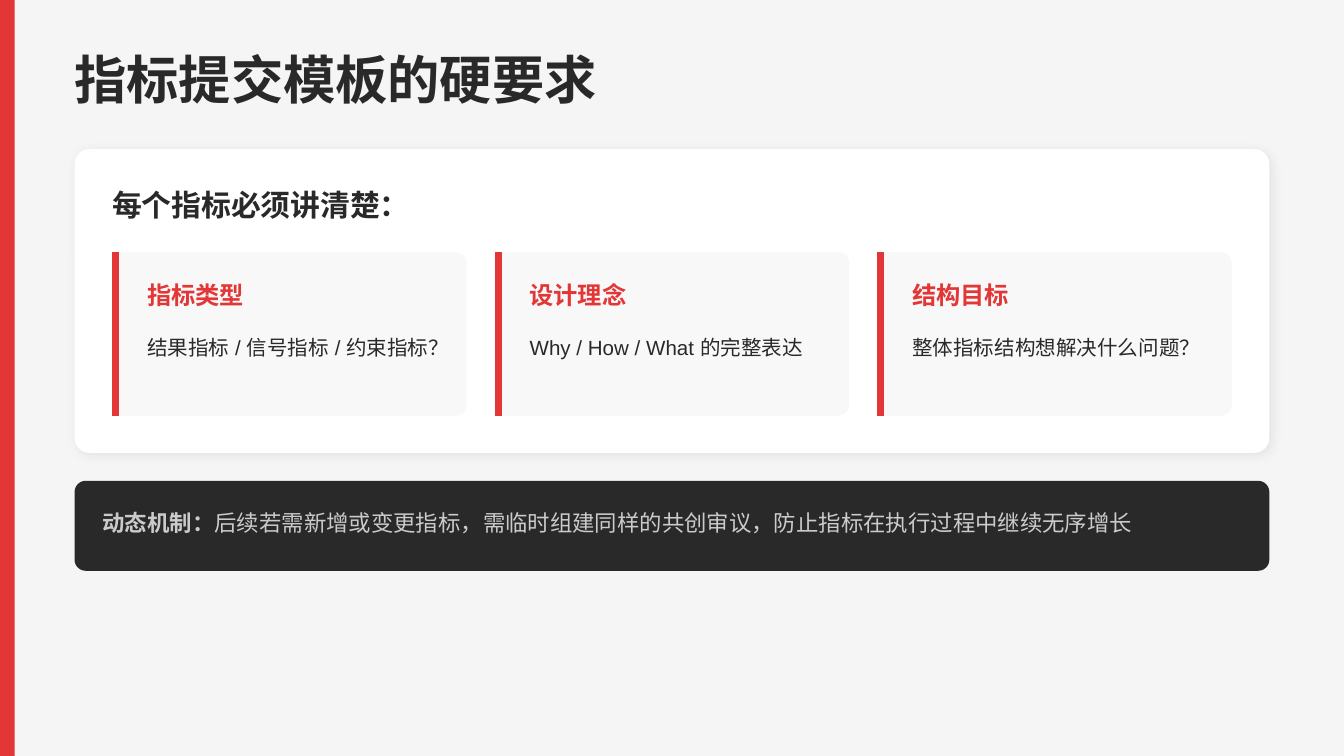
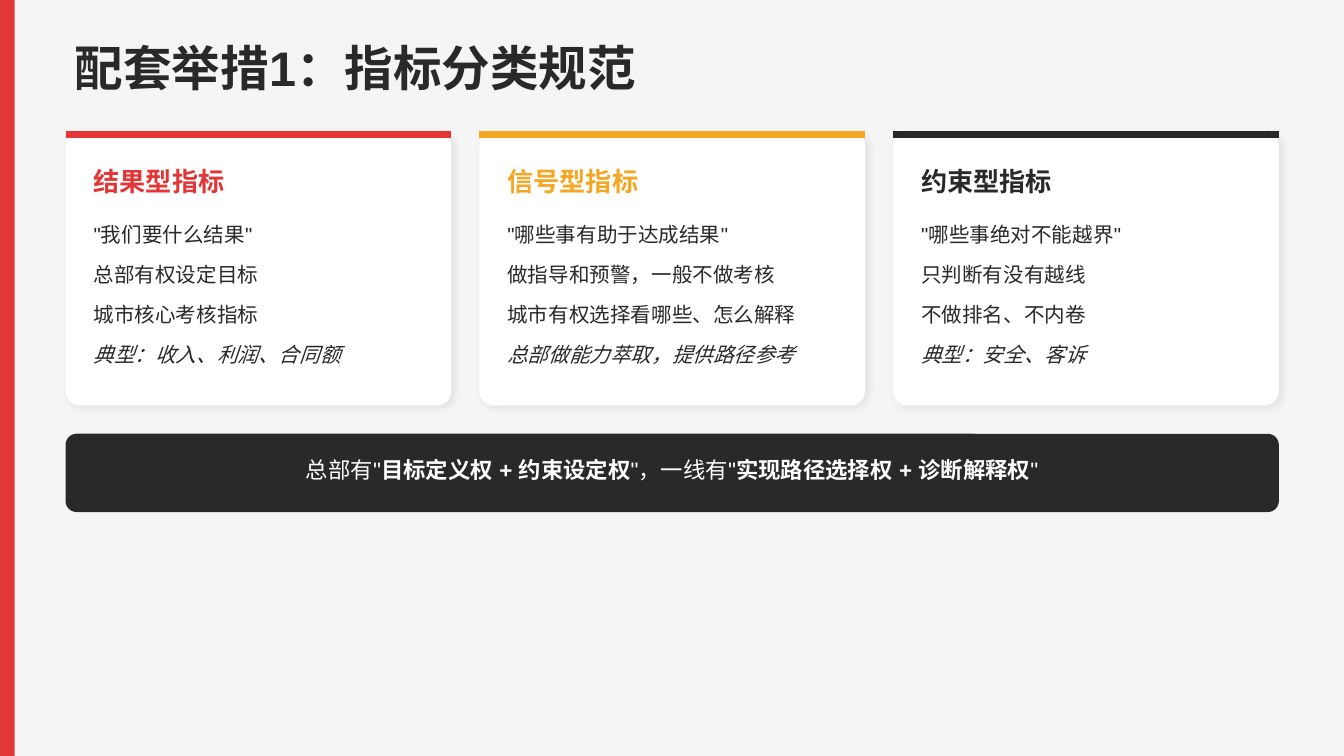
from typing import NamedTuple

from lxml.etree import SubElement
from pptx import Presentation
from pptx.dml.color import RGBColor
from pptx.enum.shapes import MSO_CONNECTOR as Connector, MSO_SHAPE as Preset
from pptx.enum.text import MSO_ANCHOR as Anchor, MSO_AUTO_SIZE as AutoSize, PP_ALIGN as Align
from pptx.oxml.ns import qn
from pptx.util import Cm, Pt

RED = RGBColor(0xE3, 0x37, 0x37)
AMBER = RGBColor(0xF5, 0xA6, 0x23)
INK = RGBColor(0x29, 0x29, 0x29)
WHITE = RGBColor(0xFF, 0xFF, 0xFF)
SILVER = RGBColor(0xCC, 0xCB, 0xCB)
CARD = RGBColor(0xF8, 0xF8, 0xF8)
BACKDROP = RGBColor(0xF5, 0xF5, 0xF5)

FONT = "Arial"
SLIDE_WIDTH, SLIDE_HEIGHT = 25.4, 14.29
GAP = 0.53
ACCENT_INSET = 0.07
LARGE_RADIUS, SMALL_RADIUS = 0.28, 0.21
TITLE_ONLY, COMPARISON = 5, 4

REQUIREMENTS = [
    ("指标类型", "结果指标 / 信号指标 / 约束指标？"),
    ("设计理念", "Why / How / What 的完整表达"),
    ("结构目标", "整体指标结构想解决什么问题？"),
]
CATEGORIES = [
    ("结果型指标", RED,
     ["\"我们要什么结果\"", "总部有权设定目标", "城市核心考核指标", "典型：收入、利润、合同额"]),
    ("信号型指标", AMBER,
     ["\"哪些事有助于达成结果\"", "做指导和预警，一般不做考核",
      "城市有权选择看哪些、怎么解释", "总部做能力萃取，提供路径参考"]),
    ("约束型指标", INK,
     ["\"哪些事绝对不能越界\"", "只判断有没有越线", "不做排名、不内卷", "典型：安全、客诉"]),
]


class Box(NamedTuple):
    left: float
    top: float
    width: float
    height: float

    def inner(self, x, y, width, height):
        return Box(self.left + x, self.top + y, width, height)

    def columns(self, count):
        width = (self.width - GAP * (count - 1)) / count
        return [self.inner(i * (width + GAP), 0, width, self.height) for i in range(count)]

    def lengths(self):
        return [Cm(value) for value in self]


def add_run(paragraph, text, size, color, bold=False, italic=False):
    run = paragraph.add_run()
    run.text = text
    font = run.font
    font.name, font.size, font.bold, font.italic = FONT, Pt(size), bold, italic
    font.color.rgb = color
    font._element.find(qn("a:latin")).addnext(
        font._element.makeelement(qn("a:ea"), {"typeface": FONT}))


def prepare_frame(shape):
    frame = shape.text_frame
    frame.auto_size = AutoSize.NONE
    frame.word_wrap = True
    frame.vertical_anchor = Anchor.TOP
    frame.margin_left = frame.margin_right = frame.margin_top = frame.margin_bottom = 0
    return frame


def place(shape, box):
    shape.left, shape.top, shape.width, shape.height = box.lengths()


def add_text(slide, box, runs, size, color, align=Align.LEFT, spacing=None):
    paragraph = prepare_frame(slide.shapes.add_textbox(*box.lengths())).paragraphs[0]
    paragraph.alignment = align
    paragraph.line_spacing = spacing
    for text, bold in runs:
        add_run(paragraph, text, size, color, bold)


def add_panel(slide, box, color, radius=0, shadow_blur=None):
    preset = Preset.ROUNDED_RECTANGLE if radius else Preset.RECTANGLE
    shape = slide.shapes.add_shape(preset, *box.lengths())
    shape.shadow.inherit = False
    shape.fill.solid()
    shape.fill.fore_color.rgb = color
    shape.line.fill.background()
    if radius:
        shape.adjustments[0] = radius / min(box.width, box.height)
    if shadow_blur:
        effects = shape._element.spPr.find(qn("a:effectLst"))
        shadow = SubElement(effects, qn("a:outerShdw"), blurRad=str(Pt(shadow_blur)),
                            dist=str(Pt(2.1)), dir="2700000", algn="bl", rotWithShape="0")
        tint = SubElement(shadow, qn("a:srgbClr"), val="000000")
        SubElement(tint, qn("a:alpha"), val="8000")


def add_accent(slide, left, top, right, bottom, color):
    line = slide.shapes.add_connector(
        Connector.STRAIGHT, Cm(left), Cm(top), Cm(right), Cm(bottom))
    line.line.color.rgb = color
    line.line.width = Pt(3.75)
    SubElement(line._element.spPr, qn("a:effectLst"))


def start_slide(presentation, layout, title, size, box):
    slide = presentation.slides.add_slide(presentation.slide_layouts[layout])
    slide.background.fill.solid()
    slide.background.fill.fore_color.rgb = BACKDROP
    add_panel(slide, Box(0, 0, 0.28, SLIDE_HEIGHT), RED)
    place(slide.shapes.title, box)
    paragraph = prepare_frame(slide.shapes.title).paragraphs[0]
    paragraph.alignment = Align.LEFT
    add_run(paragraph, title, size, INK, bold=True)
    return slide


def add_requirement(slide, box, heading, detail):
    add_panel(slide, box, CARD, SMALL_RADIUS)
    edge = box.left + ACCENT_INSET
    add_accent(slide, edge, box.top, edge, box.top + box.height, RED)
    width = box.width - 1.1
    add_text(slide, box.inner(0.66, 0.53, width, 0.66), [(heading, True)], 13, RED)
    add_text(slide, box.inner(0.66, 1.48, width, 1.09), [(detail, False)], 11, INK,
             spacing=Pt(15.4))


def add_requirements(slide, box):
    add_panel(slide, box, WHITE, LARGE_RADIUS, shadow_blur=6)
    width = box.width - 1.42
    add_text(slide, box.inner(0.71, 0.71, width, 0.81), [("每个指标必须讲清楚：", True)], 16, INK)
    cards = box.inner(0.71, 1.95, width, 3.09).columns(len(REQUIREMENTS))
    for card, (heading, detail) in zip(cards, REQUIREMENTS):
        add_requirement(slide, card, heading, detail)


def fill_list(slide, placeholder, box, items):
    slide.shapes._spTree.append(placeholder._element)
    place(placeholder, box)
    frame = prepare_frame(placeholder)
    for index, item in enumerate(items):
        paragraph = frame.add_paragraph() if index else frame.paragraphs[0]
        paragraph.alignment = Align.LEFT
        paragraph.line_spacing = Pt(15.4)
        paragraph.space_before, paragraph.space_after = Pt(0), Pt(6)
        properties = paragraph._p.get_or_add_pPr()
        properties.set("marL", "0")
        properties.set("indent", "0")
        SubElement(properties, qn("a:buNone"))
        add_run(paragraph, item, 11, INK, italic=index == len(items) - 1)


def add_category(slide, box, placeholder, heading, color, items):
    add_panel(slide, box, WHITE, LARGE_RADIUS, shadow_blur=4.5)
    edge = box.top + ACCENT_INSET
    add_accent(slide, box.left, edge, box.left + box.width, edge, color)
    width = box.width - 0.95
    add_text(slide, box.inner(0.53, 0.66, width, 0.71), [(heading, True)], 14, color)
    fill_list(slide, placeholder, box.inner(0.53, 1.65, width, 2.9), items)


def add_band(slide, box, runs, color, padding, align=Align.LEFT):
    add_panel(slide, box, INK, SMALL_RADIUS)
    text_box = box.inner(GAP, padding, box.width - 2 * GAP, 0.64)
    add_text(slide, text_box, runs, 12, color, align)


def build_requirements_slide(presentation):
    slide = start_slide(presentation, TITLE_ONLY, "指标提交模板的硬要求", 28,
                        Box(1.41, 0.89, 23.04, 1.42))
    add_requirements(slide, Box(1.41, 2.82, 22.58, 5.74))
    add_band(slide, Box(1.41, 9.09, 22.58, 1.7),
             [("动态机制：", True),
              ("后续若需新增或变更指标，需临时组建同样的共创审议，防止指标在执行过程中继续无序增长", False)],
             SILVER, 0.53)


def build_categories_slide(presentation):
    slide = start_slide(presentation, COMPARISON, "配套举措1：指标分类规范", 26,
                        Box(1.41, 0.71, 23.04, 1.32))
    *lists, spare = list(slide.placeholders)[1:]
    spare._element.getparent().remove(spare._element)
    cards = Box(1.24, 2.47, 22.93, 5.2).columns(len(CATEGORIES))
    for card, placeholder, category in zip(cards, lists, CATEGORIES):
        add_category(slide, card, placeholder, *category)
    add_band(slide, Box(1.24, 8.2, 22.93, 1.48),
             [("总部有\"", False), ("目标定义权 + 约束设定权", True), ("\"，一线有\"", False),
              ("实现路径选择权 + 诊断解释权", True), ("\"", False)],
             WHITE, 0.43, Align.CENTER)


def main():
    presentation = Presentation()
    presentation.slide_width, presentation.slide_height = Cm(SLIDE_WIDTH), Cm(SLIDE_HEIGHT)
    build_requirements_slide(presentation)
    build_categories_slide(presentation)
    presentation.save("out.pptx")


if __name__ == "__main__":
    main()
